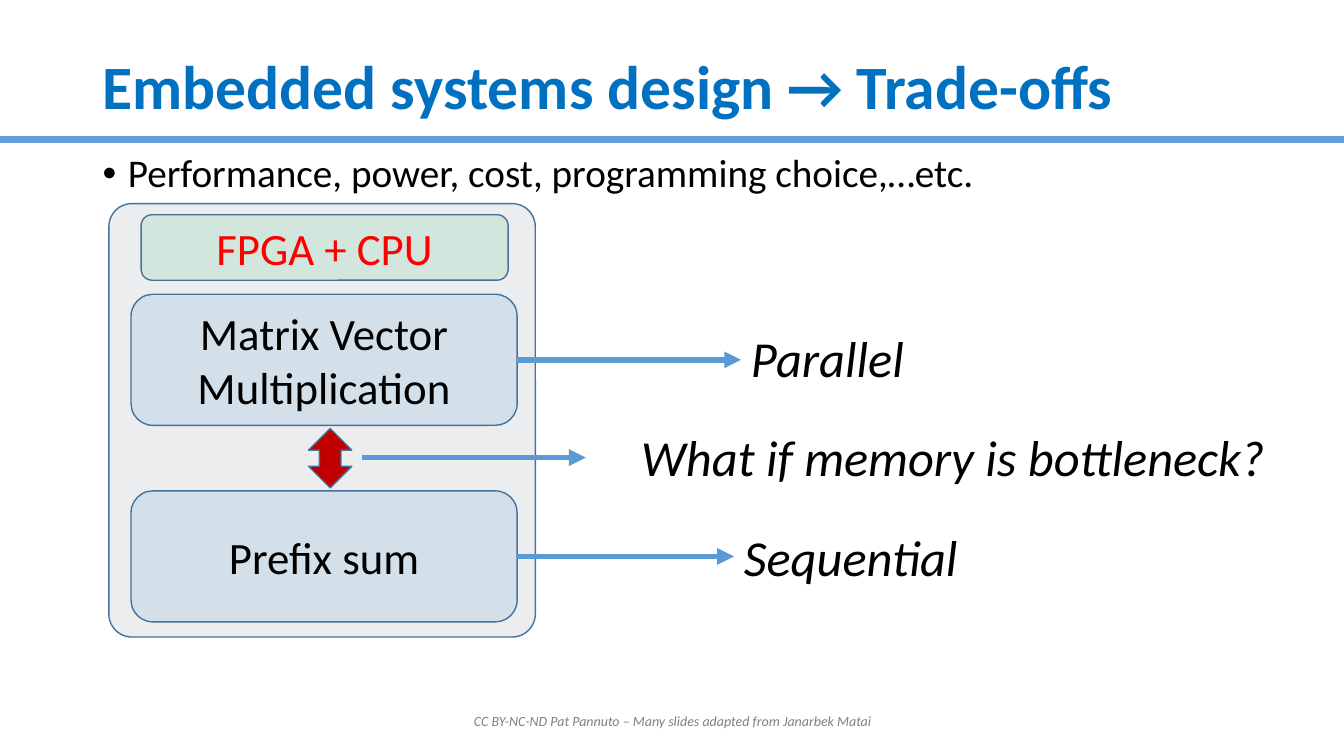
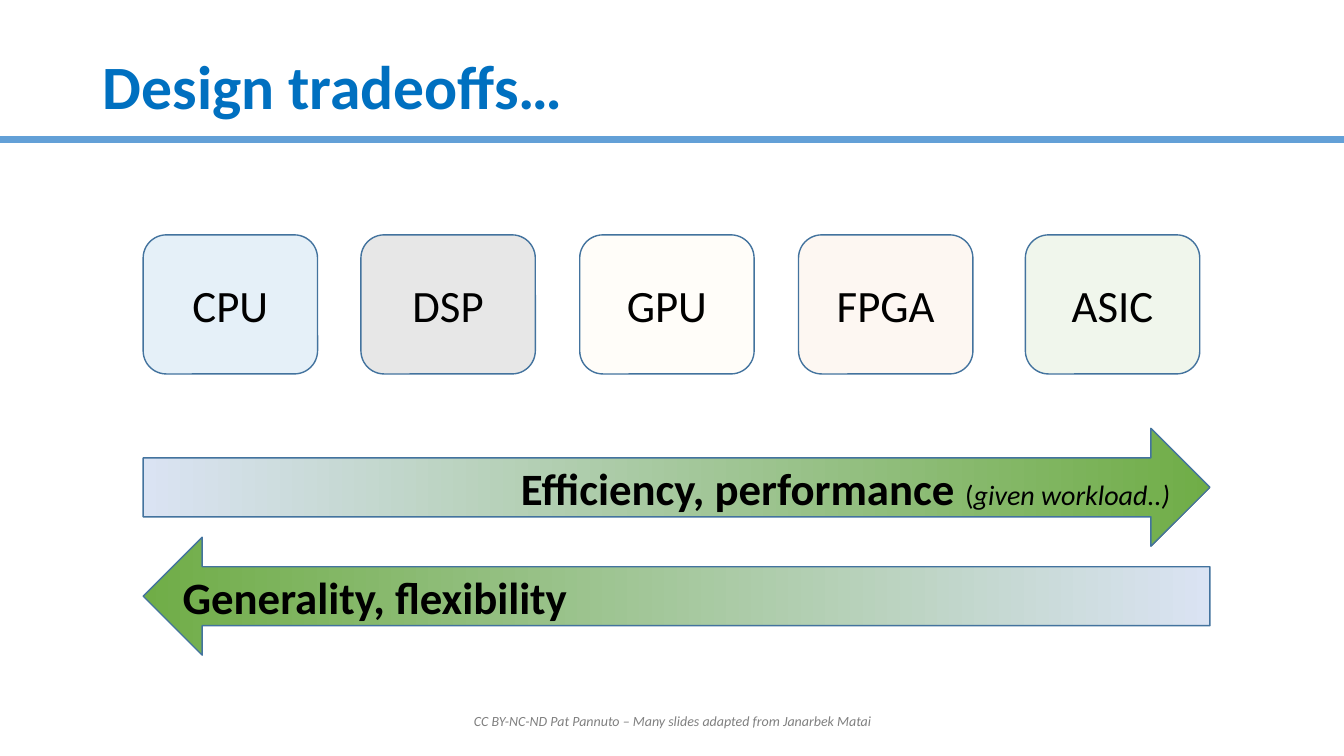
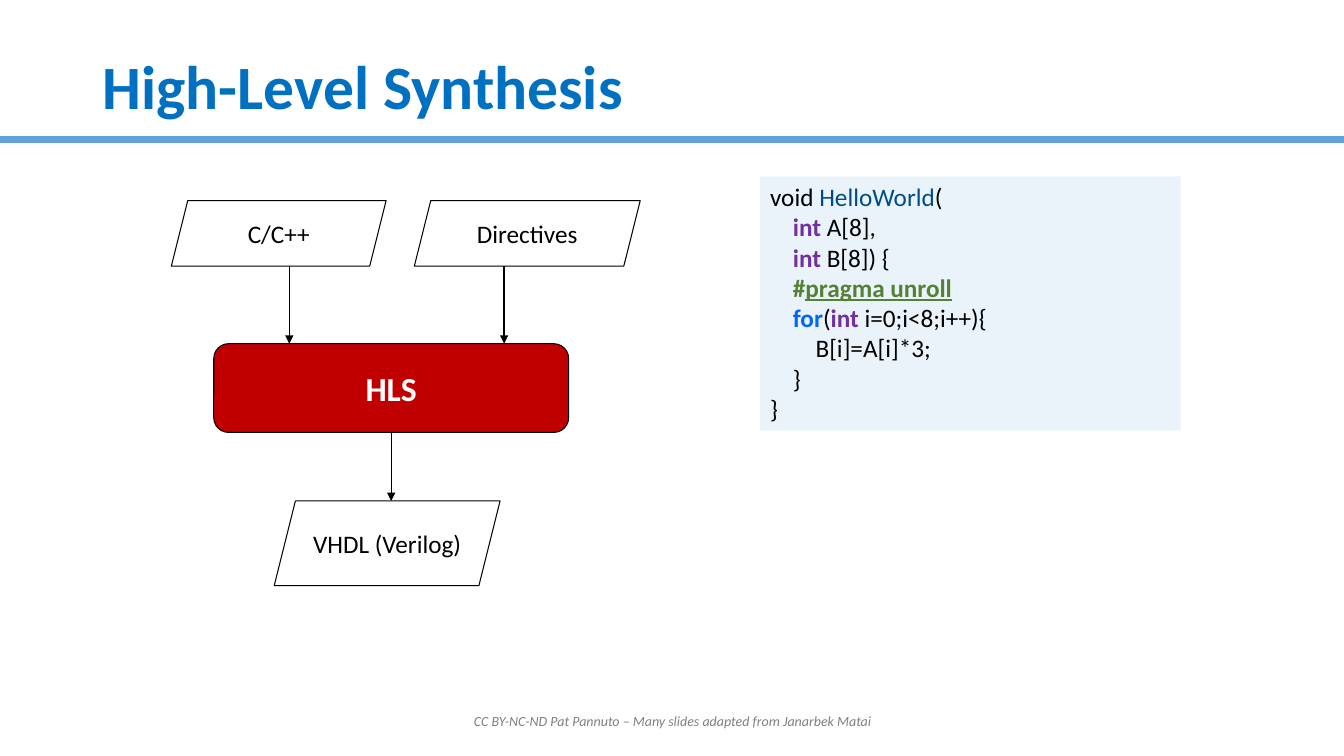
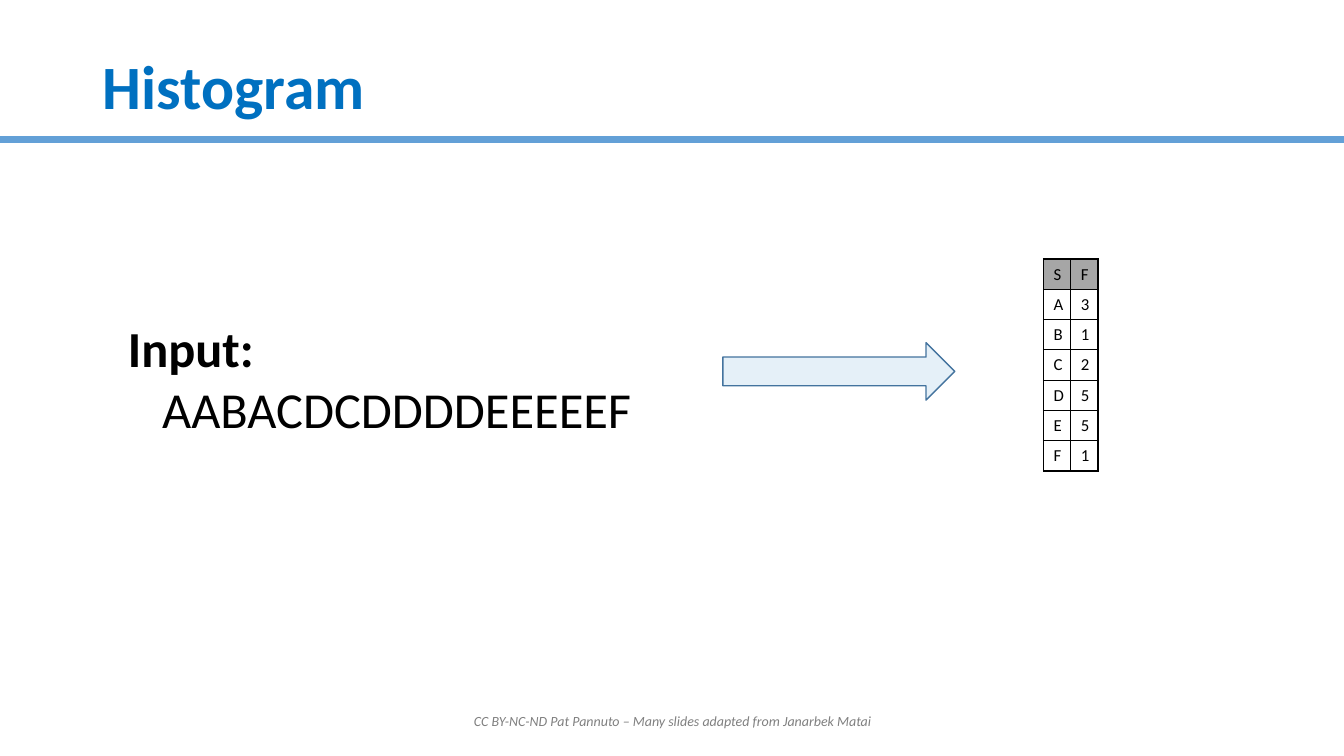
import pptx
import pptx.dml.color
import pptx.enum.shapes
import pptx.enum.text
import pptx.oxml
import pptx.oxml.ns
import pptx.util

Inches = pptx.util.Inches
Pt = pptx.util.Pt
SHAPES = pptx.enum.shapes.MSO_SHAPE
ALIGN = pptx.enum.text.PP_ALIGN
ANCHOR = pptx.enum.text.MSO_ANCHOR
FIT = pptx.enum.text.MSO_AUTO_SIZE

FONT = "Calibri"
COLORS = {
    "black": "000000", "white": "FFFFFF", "title": "0070C0", "rule": "63A0D7",
    "footer": "808080", "outline": "43739E", "arrow": "5B9BD5", "slate": "44546A",
    "blue": "0070C0", "ink": "181717", "cream": "FFF2CC", "peach": "F4B183",
    "green": "70AD47", "mint": "00B050", "pale": "DAE3F3", "red": "FF0000",
    "crimson": "C00000", "header": "A6A6A6", "function": "004D86",
    "type": "7030A0", "keyword": "0066FF", "pragma": "548235",
}
FOOTER = "CC BY-NC-ND Pat Pannuto – Many slides adapted from Janarbek Matai"


def rgb(name):
    """Return the palette colour with this name."""
    return pptx.dml.color.RGBColor.from_string(COLORS[name])


def add_xml(parent, tag, **attributes):
    """Append a drawing element to parent and return it."""
    child = pptx.oxml.parse_xml(f"<a:{tag} {pptx.oxml.ns.nsdecls('a')}/>")
    for name, value in attributes.items():
        child.set(name, str(value))
    parent.append(child)
    return child


def write(paragraph, runs, size, color="black", align=ALIGN.LEFT):
    """Fill a paragraph with runs, each a text or a (text, changes) pair."""
    paragraph.alignment = align
    for item in runs:
        text, changes = (item, {}) if isinstance(item, str) else item
        run = paragraph.add_run()
        run.text = text
        run.font.name = FONT
        run.font.size = Pt(changes.get("size", size))
        run.font.color.rgb = rgb(changes.get("color", color))
        run.font.bold = changes.get("bold", False)
        run.font.italic = changes.get("italic", False)
        run.font.underline = changes.get("underline", False)


def add_text(slide, box, runs, size, wrap=True, **style):
    """Add a text box with one paragraph and return its frame."""
    frame = slide.shapes.add_textbox(*map(Inches, box)).text_frame
    frame.word_wrap = wrap
    if not wrap:
        frame.auto_size = FIT.SHAPE_TO_FIT_TEXT
    write(frame.paragraphs[0], runs, size, **style)
    return frame


def add_block(slide, kind, box, fill=None, opacity=100, outline="outline",
              weight=1, runs=(), size=32, **style):
    """Add a preset shape with its fill, outline and centred label."""
    block = slide.shapes.add_shape(kind, *map(Inches, box))
    block.shadow.inherit = False
    if fill:
        block.fill.solid()
        block.fill.fore_color.rgb = rgb(fill)
        if opacity < 100:
            tint = block.element.spPr.find(".//" + pptx.oxml.ns.qn("a:srgbClr"))
            add_xml(tint, "alpha", val=opacity * 1000)
    else:
        block.fill.background()
    if outline:
        block.line.color.rgb = rgb(outline)
        block.line.width = Pt(weight)
    else:
        block.line.fill.background()
    frame = block.text_frame
    frame.word_wrap = True
    frame.vertical_anchor = ANCHOR.MIDDLE
    write(frame.paragraphs[0], runs, size, **{"align": ALIGN.CENTER, **style})
    return block


def add_line(slide, start, end, color, weight, arrow=True):
    """Draw a straight line, with an arrowhead at its end if asked."""
    line = slide.shapes.add_connector(
        pptx.enum.shapes.MSO_CONNECTOR.STRAIGHT, *map(Inches, (*start, *end)))
    line.line.color.rgb = rgb(color)
    line.line.width = Pt(weight)
    properties = line.element.spPr
    if arrow:
        add_xml(properties.find(pptx.oxml.ns.qn("a:ln")), "tailEnd", type="triangle")
    add_xml(properties, "effectLst")
    return line


def add_slide(deck, title):
    """Start a slide with the shared title style and footer."""
    slide = deck.slides.add_slide(deck.slide_layouts[5])
    heading = slide.shapes.title
    heading.left, heading.top, heading.width, heading.height = map(
        Inches, (0.92, 0.4, 11.5, 0.98))
    frame = heading.text_frame
    frame.word_wrap = True
    frame.auto_size = FIT.NONE
    frame.vertical_anchor = ANCHOR.MIDDLE
    frame.paragraphs[0].line_spacing = 0.9
    write(frame.paragraphs[0], [(title, {"bold": True})], 44, "title")
    footer = add_text(slide, (4.42, 6.95, 4.5, 0.4), [(FOOTER, {"italic": True})],
                      10, color="footer", align=ALIGN.CENTER)
    footer.vertical_anchor = ANCHOR.MIDDLE
    return slide


def add_title_rule(slide):
    """Draw the band under the title and move it to the shared layout."""
    rule = add_line(slide, (0, 1.38), (13.33, 1.38), "rule", 5, arrow=False)
    slide.slide_layout.element.cSld.spTree.append(rule.element)


def add_bullet(slide, box, text):
    """Add one bulleted line."""
    paragraph = add_text(slide, box, [], 28).paragraphs[0]
    properties = paragraph._p.get_or_add_pPr()
    properties.set("marL", str(Inches(0.25)))
    properties.set("indent", str(-Inches(0.25)))
    add_xml(properties, "buFont", typeface="Arial")
    add_xml(properties, "buChar", char="•")
    paragraph.line_spacing = 0.9
    write(paragraph, [text], 28)


def add_system(slide, left, top):
    """Draw the two-stage system panel and its annotations."""
    panel = add_block(slide, SHAPES.ROUNDED_RECTANGLE, (left, top, 4.23, 4.3), "slate", 10)
    panel.adjustments[0] = 0.054
    stages = [("Matrix Vector Multiplication", 0.9, "Parallel", (6.27, 1.18, 1.74, 0.71)),
              ("Prefix sum", 2.85, "Sequential", (6.2, 3.15, 2.37, 0.71))]
    notes = [("What if memory is bottleneck?", (5.18, 2.16, 6.58, 0.71))]
    arrows = [(2.51, 2.52, 4.73)]
    for stage, offset, note, place in stages:
        add_block(slide, SHAPES.ROUNDED_RECTANGLE, (left + 0.22, top + offset, 3.83, 1.3),
                  "blue", 10, runs=[stage])
        notes.append((note, place))
        arrows.append((4.05, offset + 0.65, place[0]))
    add_block(slide, SHAPES.ROUNDED_RECTANGLE, (left + 0.32, top + 0.11, 3.64, 0.65),
              "mint", 10, runs=["FPGA + CPU"], color="red")
    add_block(slide, SHAPES.UP_DOWN_ARROW, (left + 1.98, top + 2.23, 0.43, 0.59), "crimson")
    for start, level, end in arrows:
        add_line(slide, (left + start, top + level), (left + end, top + level), "arrow", 4)
    for note, (x, y, width, height) in notes:
        add_text(slide, (left + x, top + y, width, height),
                 [(note, {"italic": True})], 36, wrap=False)


def add_processors(slide, left, top):
    """Draw the row of processor kinds."""
    processors = [("CPU", "blue", 0), ("DSP", "ink", 2.16), ("GPU", "cream", 4.33),
                  ("FPGA", "peach", 6.5), ("ASIC", "green", 8.75)]
    for name, fill, offset in processors:
        add_block(slide, SHAPES.ROUNDED_RECTANGLE, (left + offset, top, 1.73, 1.38),
                  fill, 10, runs=[name])


def add_trend(slide, kind, left, top, shades, runs, align):
    """Draw a wide block arrow shaded from left to right."""
    trend = add_block(slide, kind, (left, top, 10.58, 1.17), runs=runs, align=align)
    trend.fill.gradient()
    trend.fill.gradient_angle = 0
    for stop, shade in zip(trend.fill.gradient_stops, shades):
        stop.color.rgb = rgb(shade)


def add_flow(slide, left, top):
    """Draw the synthesis flow from sources to hardware description."""
    files = [("C/C++", 0, 0, 2.13, 0.65), ("Directives", 2.41, 0, 2.24, 0.65),
             ("VHDL (Verilog)", 1.02, 2.98, 2.24, 0.84)]
    for name, x, y, width, height in files:
        add_block(slide, SHAPES.PARALLELOGRAM, (left + x, top + y, width, height),
                  outline="black", weight=0.75, runs=[name], size=18)
    add_block(slide, SHAPES.ROUNDED_RECTANGLE, (left + 0.42, top + 1.42, 3.52, 0.88),
              "crimson", outline="black", weight=0.75,
              runs=[("HLS", {"bold": True})], size=24, color="white")
    for x, start, end in [(1.17, 0.65, 1.42), (3.3, 0.65, 1.42), (2.18, 2.3, 2.98)]:
        add_line(slide, (left + x, top + start), (left + x, top + end), "black", 1)


def add_code(slide, box):
    """Show the highlighted code listing."""
    kind = {"color": "type", "bold": True}
    keyword = {"color": "keyword", "bold": True}
    pragma = {"color": "pragma", "bold": True}
    lines = [
        ["void ", ("HelloWorld", {"color": "function"}), "("],
        [("    int", kind), " A[8],"],
        [("    int", kind), " B[8]) {"],
        [("    #", pragma), ("pragma unroll", {**pragma, "underline": True})],
        ["    ", ("for", keyword), "(", ("int ", kind), "i=0;i<8;i++){"],
        ["        B[i]=A[i]*3;"],
        ["    }"],
        ["}"],
    ]
    listing = add_block(slide, SHAPES.RECTANGLE, box, "blue", 8, outline=None)
    frame = listing.text_frame
    frame.vertical_anchor = ANCHOR.TOP
    for number, runs in enumerate(lines):
        paragraph = frame.add_paragraph() if number else frame.paragraphs[0]
        write(paragraph, runs, 18)


def add_input(slide, box, sequence):
    """Show the input sequence under its heading."""
    frame = add_text(slide, box, [("Input:", {"bold": True})], 36, wrap=False)
    paragraph = frame.add_paragraph()
    paragraph._p.get_or_add_pPr().set("marL", str(Inches(0.34)))
    write(paragraph, [sequence], 36)


def add_counts(slide, left, top, rows):
    """Tabulate symbols and their frequencies."""
    counts = slide.shapes.add_table(
        len(rows), 2, *map(Inches, (left, top, 0.54, 0.3 * len(rows)))).table
    for column in counts.columns:
        column.width = Inches(0.27)
    for y, values in enumerate(rows):
        for x, value in enumerate(values):
            cell = counts.cell(y, x)
            properties = cell._tc.get_or_add_tcPr()
            for side in ("lnL", "lnR", "lnT", "lnB"):
                border = add_xml(properties, side, w=Pt(1))
                add_xml(add_xml(border, "solidFill"), "srgbClr", val=COLORS["black"])
            if y:
                cell.fill.background()
            else:
                cell.fill.solid()
                cell.fill.fore_color.rgb = rgb("header")
            write(cell.text_frame.paragraphs[0], [value], 12)


def main():
    """Build and save the deck."""
    deck = pptx.Presentation()
    deck.slide_width, deck.slide_height = Inches(13.33), Inches(7.5)

    tradeoffs = add_slide(deck, "Embedded systems design → Trade-offs")
    add_title_rule(tradeoffs)
    add_bullet(tradeoffs, (0.92, 1.48, 11.5, 0.87),
               "Performance, power, cost, programming choice,…etc.")
    add_system(tradeoffs, 1.08, 2.02)

    spectrum = add_slide(deck, "Design tradeoffs…")
    add_processors(spectrum, 1.42, 2.33)
    add_trend(spectrum, SHAPES.RIGHT_ARROW, 1.42, 4.25, ("pale", "green"),
              [("Efficiency, performance ", {"bold": True}), ("(", {"size": 20}),
               ("given workload..)", {"size": 20, "italic": True})], ALIGN.RIGHT)
    add_trend(spectrum, SHAPES.LEFT_ARROW, 1.42, 5.33, ("green", "pale"),
              [("Generality, flexibility", {"bold": True})], ALIGN.LEFT)

    synthesis = add_slide(deck, "High-Level Synthesis")
    add_flow(synthesis, 1.7, 1.99)
    add_code(synthesis, (7.54, 1.75, 4.17, 2.52))

    histogram = add_slide(deck, "Histogram")
    add_input(histogram, (1.17, 3.1, 5.4, 1.31), "AABACDCDDDDEEEEEF")
    add_block(histogram, SHAPES.RIGHT_ARROW, (7.17, 3.4, 2.3, 0.57), "blue", 10)
    add_counts(histogram, 10.35, 2.57, ["SF", "A3", "B1", "C2", "D5", "E5", "F1"])

    deck.save("out.pptx")


if __name__ == "__main__":
    main()
